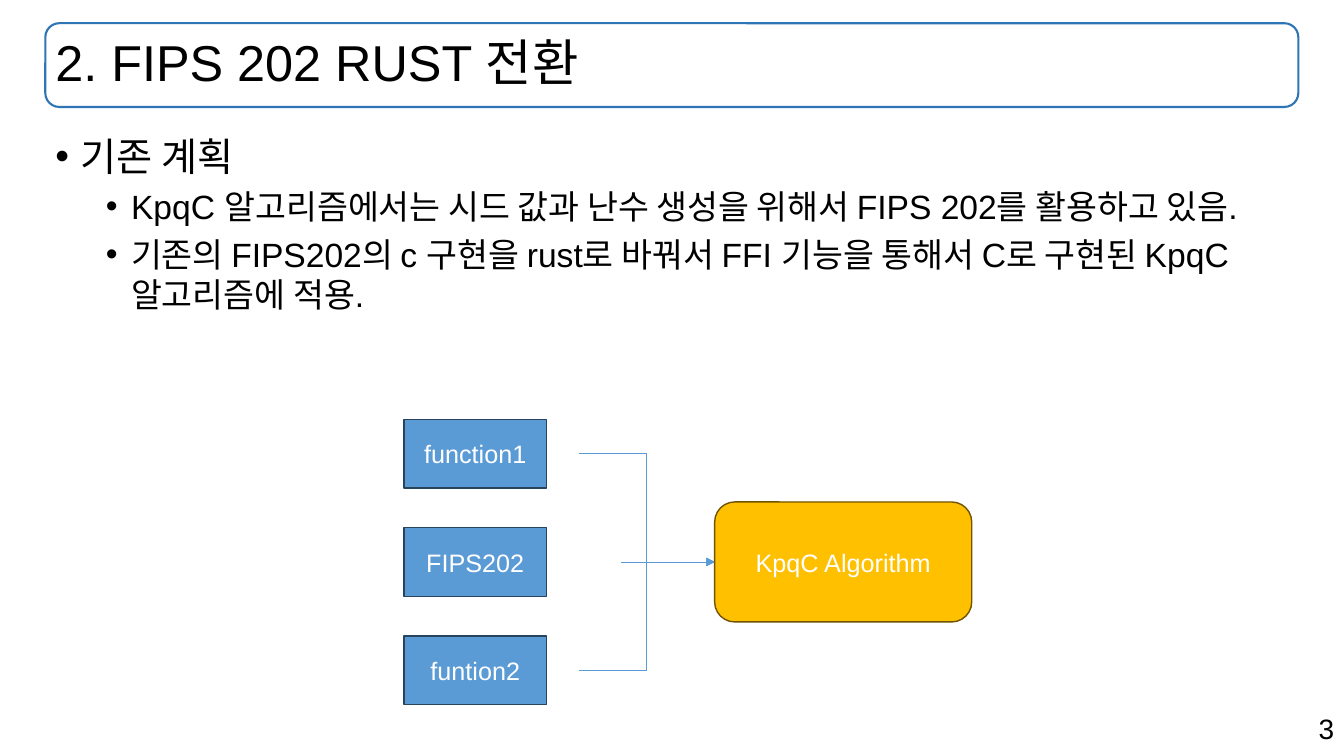
from lxml import etree
from pptx import Presentation
from pptx.dml import color
from pptx.enum import shapes, text
from pptx.oxml import ns
from pptx.util import Pt

TITLE = "2. FIPS 202 RUST 전환"
PLAN = [  # level, wording
    (0, "기존 계획"),
    (1, "KpqC 알고리즘에서는 시드 값과 난수 생성을 위해서 FIPS 202를 활용하고 있음."),
    (1, "기존의 FIPS202의 c 구현을 rust로 바꿔서 FFI 기능을 통해서 C로 구현된 KpqC 알고리즘에 적용."),
]
LEVELS = [(28, 18, 0), (24, 54, 5)]  # size, indent, space before
FUNCTIONS = ["function1", "FIPS202", "funtion2"]
ALGORITHM = "KpqC Algorithm"
PAGE = "3"

FONT = "Arial"
BLACK, WHITE, BLUE = "000000", "FFFFFF", "5B9BD5"
TITLE_AREA = (32.4, 16.6, 895, 59.8)
BODY_AREA = (32.4, 90.7, 895, 398.2)
PAGE_AREA = (679, 504.7, 281, 31.7)
FUNCTION_LEFT, FUNCTION_TOP, FUNCTION_PITCH = 288.7, 299.5, 77.4
FUNCTION_SIZE = (101.5, 49)
ALGORITHM_LEFT, ALGORITHM_SIZE = 510.5, (183.6, 85.7)
BRANCH_LEFT, STEM_LEFT = 413.3, 443.5


def rgb(value):
    return color.RGBColor.from_string(value)


def points(*lengths):
    return [Pt(length) for length in lengths]


def place(placeholder, area):
    placeholder.left, placeholder.top, placeholder.width, placeholder.height = points(*area)
    frame = placeholder.text_frame
    frame.auto_size = text.MSO_AUTO_SIZE.NONE
    return frame


def write(paragraph, wording, size, ink=BLACK, align=text.PP_ALIGN.LEFT):
    paragraph.text = wording
    paragraph.alignment = align
    paragraph.font.name = FONT
    paragraph.font.size = Pt(size)
    paragraph.font.color.rgb = rgb(ink)


def add_box(kind, area, outline, width, fill=None, label=None):
    box = slide.shapes.add_shape(kind, *points(*area))
    box.shadow.inherit = False
    box.line.color.rgb = rgb(outline)
    box.line.width = Pt(width)
    if fill:
        box.fill.solid()
        box.fill.fore_color.rgb = rgb(fill)
    else:
        box.fill.background()
    if label:
        box.text_frame.vertical_anchor = text.MSO_ANCHOR.MIDDLE
        write(box.text_frame.paragraphs[0], label, 18, WHITE, text.PP_ALIGN.CENTER)


def add_arrow(kind, *ends):
    arrow = slide.shapes.add_connector(kind, *points(*ends))
    arrow.line.color.rgb = rgb(BLUE)
    arrow.line.width = Pt(0.5)
    etree.SubElement(arrow.line._get_or_add_ln(), ns.qn("a:tailEnd"), type="triangle")
    etree.SubElement(arrow._element.spPr, ns.qn("a:effectLst"))


deck = Presentation()
deck.slide_width, deck.slide_height = points(960, 540)
slide = deck.slides.add_slide(deck.slide_layouts[1])

# Title in its frame, and page number
add_box(shapes.MSO_SHAPE.ROUNDED_RECTANGLE, TITLE_AREA, "2E75B6", 1.5)
title = place(slide.shapes.title, TITLE_AREA)
title.vertical_anchor = text.MSO_ANCHOR.MIDDLE
write(title.paragraphs[0], TITLE, 36)
title.paragraphs[0].line_spacing = 0.9

page = slide.shapes.add_textbox(*points(*PAGE_AREA)).text_frame
page.word_wrap = True
write(page.paragraphs[0], PAGE, 20, align=text.PP_ALIGN.RIGHT)

# Plan
plan = place(slide.placeholders[1], BODY_AREA)
for i, (level, wording) in enumerate(PLAN):
    item = plan.add_paragraph() if i else plan.paragraphs[0]
    size, indent, before = LEVELS[level]
    item.level = level
    item.space_before = Pt(before)
    props = item._p.get_or_add_pPr()
    props.set("marL", str(Pt(indent)))
    props.set("indent", str(Pt(-18)))
    etree.SubElement(props, ns.qn("a:buFont"), typeface=FONT)
    etree.SubElement(props, ns.qn("a:buChar"), char="•")
    write(item, wording, size)

# Functions feeding the algorithm
function_width, function_height = FUNCTION_SIZE
algorithm_width, algorithm_height = ALGORITHM_SIZE
middle = FUNCTION_TOP + FUNCTION_PITCH + function_height / 2
for i, label in enumerate(FUNCTIONS):
    top = FUNCTION_TOP + i * FUNCTION_PITCH
    add_box(shapes.MSO_SHAPE.RECTANGLE, (FUNCTION_LEFT, top, *FUNCTION_SIZE),
            "28445D", 1, BLUE, label)
    if i == 1:
        add_arrow(shapes.MSO_CONNECTOR.STRAIGHT, STEM_LEFT, middle, ALGORITHM_LEFT, middle)
    else:
        add_arrow(shapes.MSO_CONNECTOR.ELBOW, BRANCH_LEFT, top + function_height / 2,
                  ALGORITHM_LEFT, middle)
add_box(shapes.MSO_SHAPE.ROUNDED_RECTANGLE,
        (ALGORITHM_LEFT, middle - algorithm_height / 2, *ALGORITHM_SIZE),
        "705400", 1, "FFC000", ALGORITHM)

deck.save("out.pptx")
